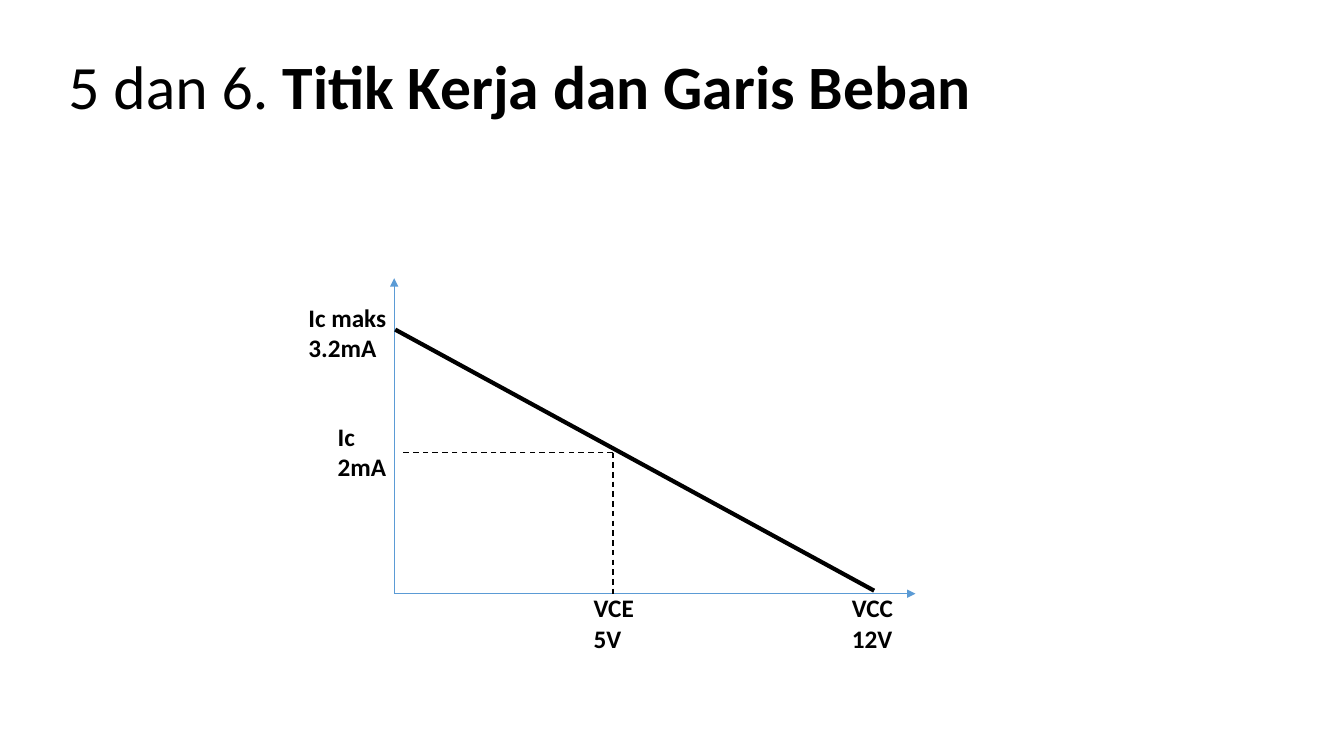
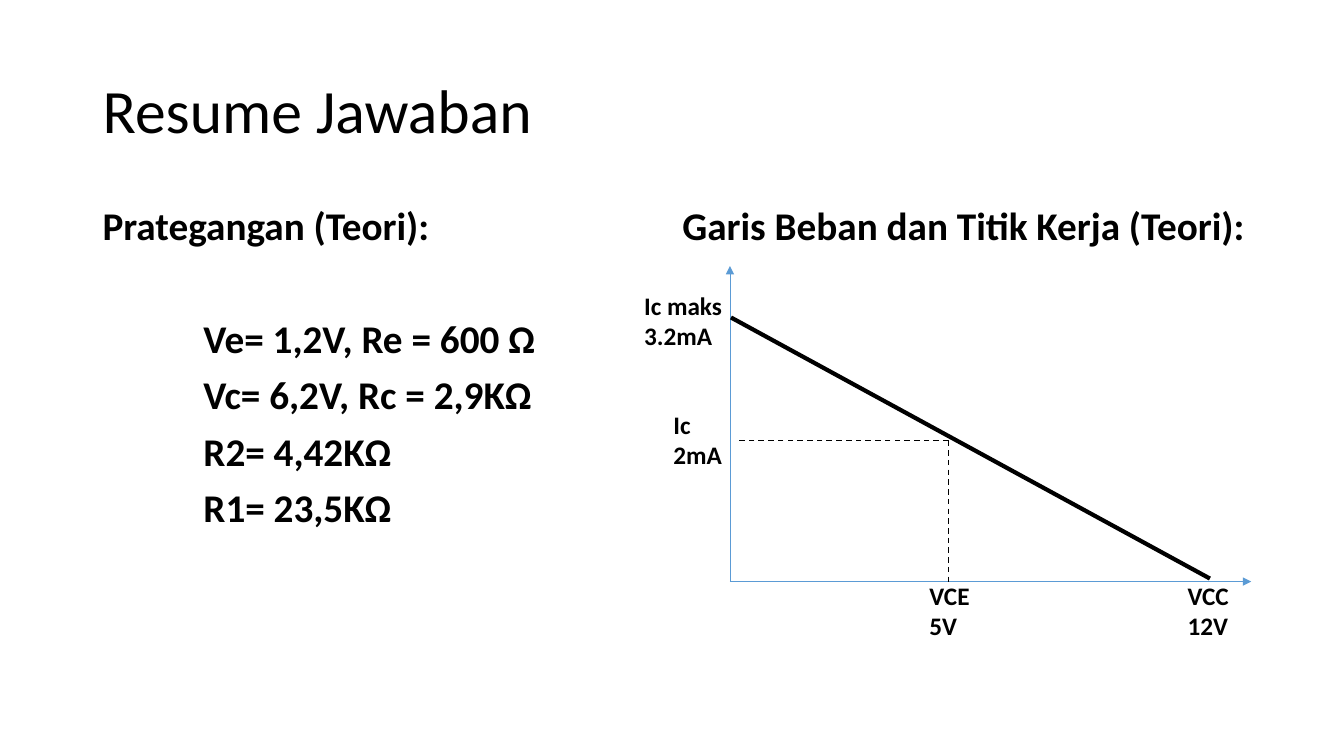
import pptx
import pptx.dml.color
import pptx.enum.dml
import pptx.enum.shapes
import pptx.enum.text
import pptx.oxml.ns
import pptx.util
from lxml import etree
from pptx.util import Inches

COLORS = {"text": "000000", "axis": "5B9BD5"}
FONT = "Calibri"


def color(name):
    return pptx.dml.color.RGBColor.from_string(COLORS[name])


class Deck:
    """Holds the shared style and the current slide."""

    def __init__(self):
        self.deck = pptx.Presentation()
        self.deck.slide_width = Inches(13.33)
        self.deck.slide_height = Inches(7.5)
        self.page = None

    def new_page(self):
        self.page = self.deck.slides.add_slide(self.deck.slide_layouts[6])

    def style(self, paragraph, size, bold, spacing):
        paragraph.line_spacing = spacing
        font = paragraph.font
        font.name, font.size, font.bold = FONT, pptx.util.Pt(size), bold
        font.color.rgb = color("text")

    def text(self, at, lines, size, bold=True, spacing=1.0):
        """Each line is a paragraph; returns the paragraphs."""
        box = self.page.shapes.add_textbox(*map(Inches, at))
        frame = box.text_frame
        frame.word_wrap = True
        for line in lines[1:]:
            frame.add_paragraph()
        for paragraph, line in zip(frame.paragraphs, lines):
            paragraph.text = line
            self.style(paragraph, size, bold, spacing)
        return frame

    def title(self, left, top, plain, strong=""):
        frame = self.text((left, top, 11.5, 1.45), [plain], 44, False, 0.9)
        frame.vertical_anchor = pptx.enum.text.MSO_ANCHOR.MIDDLE
        if strong:
            span = frame.paragraphs[0].add_run()
            span.text = strong
            span.font.bold = True

    def heading(self, left, width, text):
        self.text((left, 2, width, 0.6), [text], 28, spacing=0.9)

    def results(self, at, heading, values):
        """A heading with indented values below it."""
        frame = self.text(at, [heading, *values], 28, spacing=0.9)
        for number, paragraph in enumerate(frame.paragraphs[1:]):
            paragraph.space_before = pptx.util.Pt(10 if number else 50.5)
            properties = paragraph._p.get_or_add_pPr()
            properties.set("marL", str(Inches(1)))
            properties.set("indent", "0")

    def line(self, start, end, width, name="text", dashed=False, arrow=False):
        connector = self.page.shapes.add_connector(
            pptx.enum.shapes.MSO_CONNECTOR.STRAIGHT,
            *map(Inches, (*start, *end)))
        connector.line.color.rgb = color(name)
        connector.line.width = pptx.util.Pt(width)
        if dashed:
            connector.line.dash_style = pptx.enum.dml.MSO_LINE.DASH
        qn = pptx.oxml.ns.qn
        if arrow:
            etree.SubElement(connector.line._get_or_add_ln(),
                             qn("a:tailEnd"), type="triangle")
        etree.SubElement(connector._element.spPr, qn("a:effectLst"))

    def load_line(self, left, bottom):
        """Load line diagram with its origin at left, bottom."""
        def point(across, up):
            return left + across, bottom - up

        # Axes
        for end in (point(0, 3.13), point(5.17, 0)):
            self.line(point(0, 0), end, 0.5, "axis", arrow=True)

        # Axis labels
        for across, up, width, lines in (
                (4.44, 0.06, 0.72, ["VCC", "12V"]),
                (1.88, 0.06, 0.69, ["VCE", "5V"]),
                (-0.66, 1.76, 0.72, ["Ic", "2mA"]),
                (-0.95, 2.94, 1.01, ["Ic maks", "3.2mA"])):
            self.text((*point(across, up), width, 0.71), lines, 18)

        # Load line and operating point
        self.line(point(4.76, 0.03), point(0.01, 2.62), 3)
        for end in (point(2.17, 0), point(0.06, 1.4)):
            self.line(point(2.17, 1.4), end, 1, dashed=True)


def main():
    slides = Deck()

    # Operating point and load line
    slides.new_page()
    slides.title(0.58, 0.16, "5 dan 6. ", "Titik Kerja dan Garis Beban")
    slides.load_line(3.91, 5.89)

    # Summary of answers
    slides.new_page()
    slides.title(0.92, 0.4, "Resume Jawaban")
    slides.results((0.92, 2, 5.16, 4.76), "Prategangan (Teori):", [
        "Ve= 1,2V, Re = 600 Ω",
        "Vc= 6,2V, Rc = 2,9KΩ",
        "R2= 4,42KΩ",
        "R1= 23,5KΩ",
    ])
    slides.heading(6.67, 5.88, "Garis Beban dan Titik Kerja (Teori):")
    slides.load_line(7.24, 5.77)

    slides.deck.save("out.pptx")


if __name__ == "__main__":
    main()
